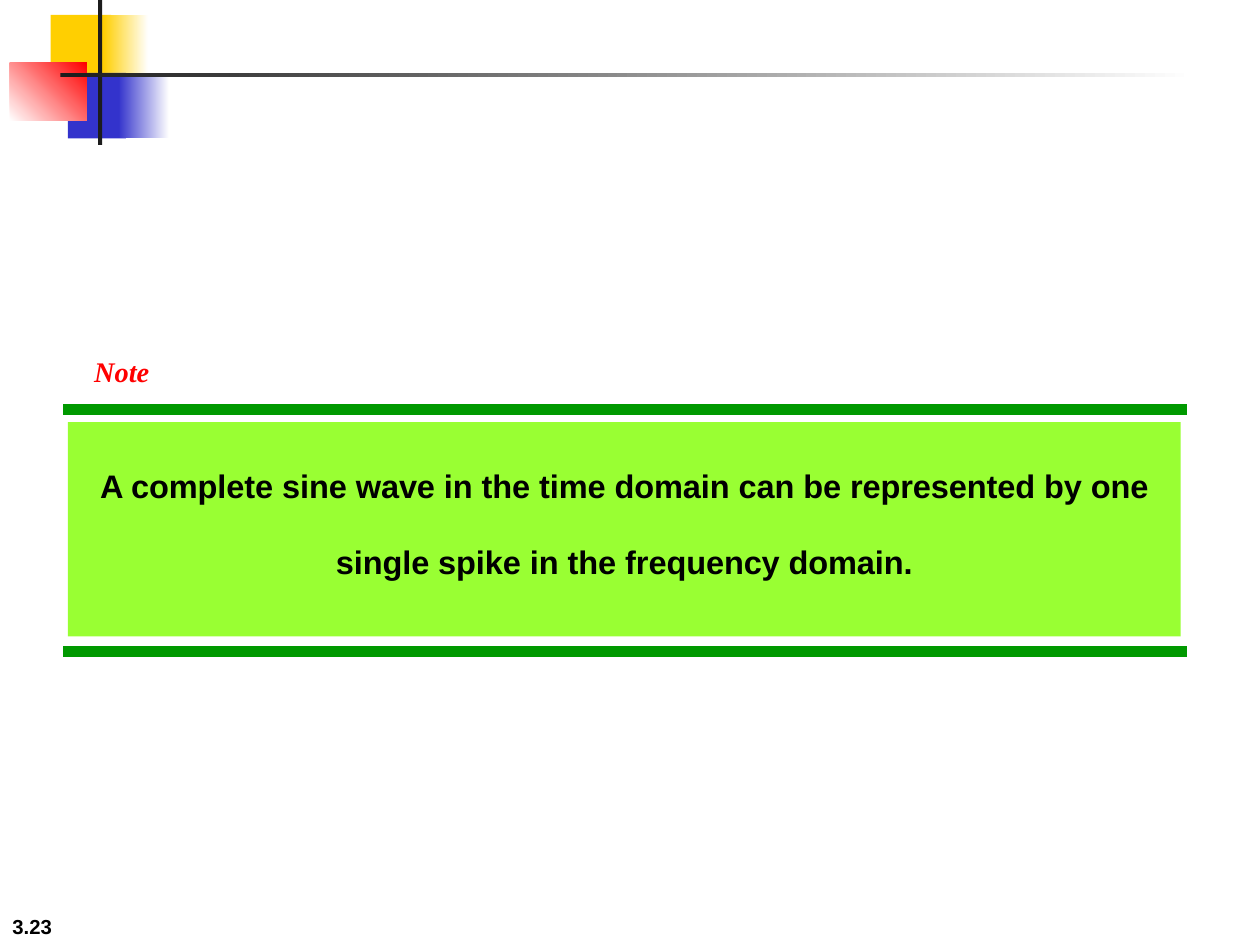
import dataclasses

import pptx
import pptx.dml.color
import pptx.enum.shapes
import pptx.enum.text
import pptx.oxml.ns
import pptx.util
from lxml import etree

Cm = pptx.util.Cm
Pt = pptx.util.Pt


@dataclasses.dataclass(frozen=True)
class Theme:
    yellow: str = "FFCF01"
    blue: str = "3333CC"
    red: str = "FF0000"
    white: str = "FFFFFF"
    dark: str = "1C1C1C"
    black: str = "000000"
    rule_green: str = "009900"
    panel_green: str = "99FF33"
    sans: str = "Arial"
    serif: str = "Times New Roman"
    number_size: int = 20
    note_size: int = 28
    statement_size: int = 32


theme = Theme()


def rgb(color):
    return pptx.dml.color.RGBColor.from_string(color)


def write_text(shape, text, font_name, size, color, italic=False):
    """Write one bold run, set as a subscript so that it shows smaller than its line."""
    run = shape.text_frame.paragraphs[0].add_run()
    run.text = text
    run.font.name = font_name
    run.font.size = Pt(size)
    run.font.bold = True
    run.font.italic = italic
    run.font.color.rgb = rgb(color)
    run.font._element.set("baseline", "-25000")


presentation = pptx.Presentation()
presentation.slide_width = Cm(25.4)
presentation.slide_height = Cm(19.05)
slide = presentation.slides.add_slide(presentation.slide_layouts[6])
shapes = slide.shapes

# Slide number
number_box = shapes.add_textbox(Cm(0), Cm(17.78), Cm(5.28), Cm(1.27))
number_box.text_frame.word_wrap = True
number_box.text_frame.vertical_anchor = pptx.enum.text.MSO_ANCHOR.BOTTOM
write_text(number_box, "3.23", theme.sans, theme.number_size, theme.black)

# Corner ornament and statement panel: left, top, width, height, colours, gradient angle
rectangles = [
    (1.02, 0.3, 1.22, 1.32, [theme.yellow], 0),
    (2.08, 0.3, 0.91, 1.32, [theme.yellow, theme.white], 0),
    (1.37, 1.47, 1.17, 1.32, [theme.blue], 0),
    (2.39, 1.47, 1.02, 1.32, [theme.blue, theme.white], 0),
    (0.2, 1.27, 1.55, 1.17, [theme.white, theme.red], 45),
    (1.98, 0, 0.08, 2.92, [theme.dark], 0),
    (1.22, 1.47, 22.86, 0.08, [theme.dark, theme.white], 0),
    (1.37, 8.51, 22.43, 4.32, [theme.panel_green], 0),
]
for left, top, width, height, colors, angle in rectangles:
    rectangle = shapes.add_shape(
        pptx.enum.shapes.MSO_SHAPE.RECTANGLE, Cm(left), Cm(top), Cm(width), Cm(height)
    )
    rectangle.shadow.inherit = False
    rectangle.line.fill.background()
    if len(colors) == 1:
        rectangle.fill.solid()
        rectangle.fill.fore_color.rgb = rgb(colors[0])
    else:
        rectangle.fill.gradient()
        rectangle.fill.gradient_angle = angle
        for stop, color in zip(rectangle.fill.gradient_stops, colors):
            stop.color.rgb = rgb(color)

# The statement goes into the last rectangle, the panel
panel = rectangle
panel.text_frame.word_wrap = True
panel.text_frame.vertical_anchor = pptx.enum.text.MSO_ANCHOR.TOP
panel.text_frame.paragraphs[0].alignment = pptx.enum.text.PP_ALIGN.CENTER
write_text(
    panel,
    "A complete sine wave in the time domain can be represented by one "
    "single spike in the frequency domain.",
    theme.sans,
    theme.statement_size,
    theme.black,
)

# Rules above and below the panel
for top in (8.26, 13.13):
    rule = shapes.add_connector(
        pptx.enum.shapes.MSO_CONNECTOR.STRAIGHT, Cm(1.27), Cm(top), Cm(23.93), Cm(top)
    )
    rule.line.color.rgb = rgb(theme.rule_green)
    rule.line.width = Pt(6)
    etree.SubElement(rule._element.spPr, pptx.oxml.ns.qn("a:effectLst"))

# Heading of the note
note_box = shapes.add_textbox(Cm(1.65), Cm(6.35), Cm(2.44), Cm(1.45))
note_box.text_frame.word_wrap = True
write_text(note_box, "Note", theme.serif, theme.note_size, theme.red, italic=True)

presentation.save("out.pptx")
